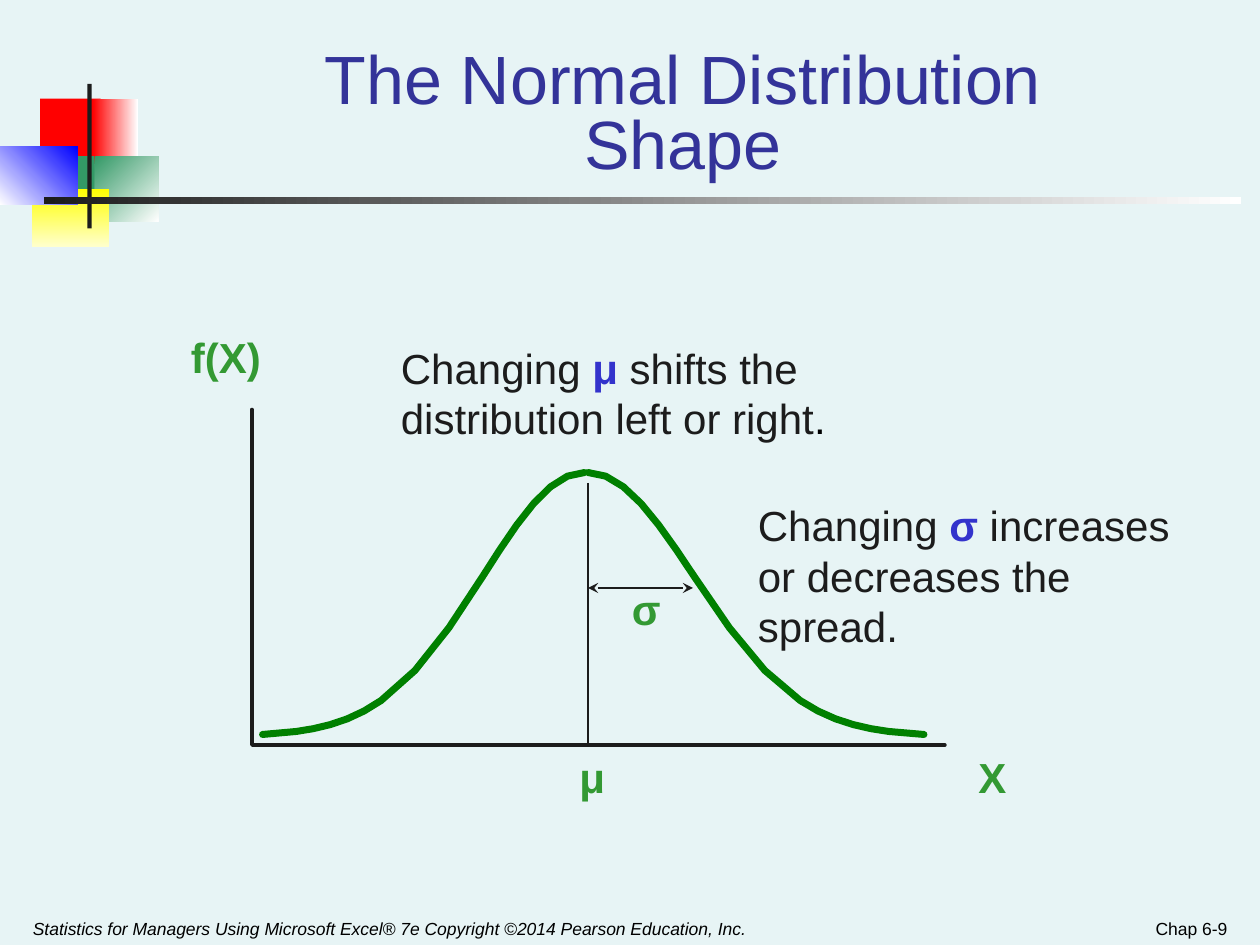
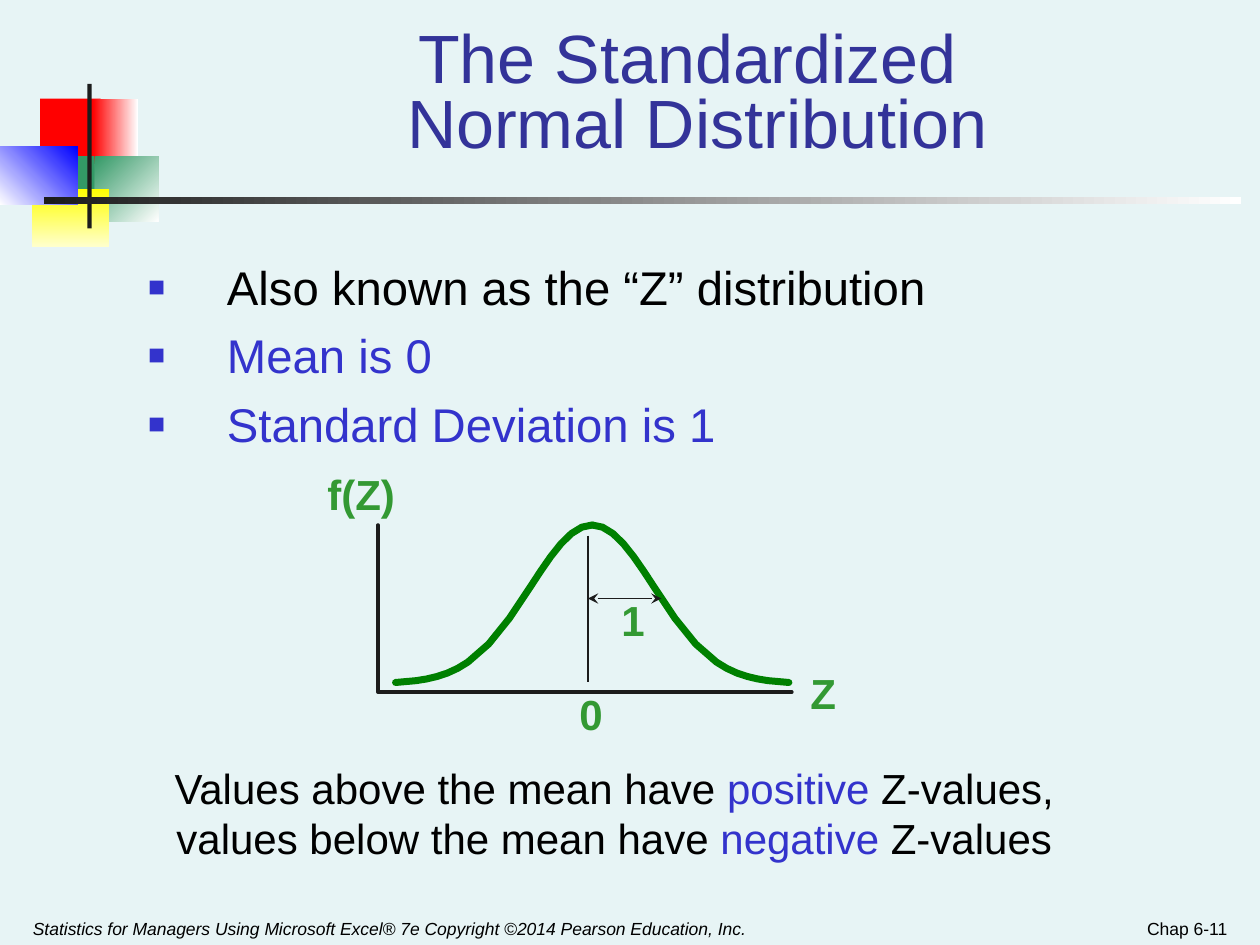
import math

import pptx
import pptx.dml.color
import pptx.enum.shapes
import pptx.enum.text
import pptx.oxml
import pptx.oxml.ns
import pptx.util

Pt = pptx.util.Pt
ALIGN = pptx.enum.text.PP_ALIGN
ANCHOR = pptx.enum.text.MSO_ANCHOR

FONT = "Arial"
BACKGROUND, TITLE, BLACK, INK = "E7F4F5", "333399", "000000", "1C1C1C"
ACCENT, LABEL, CURVE, DOT = "3333CC", "339933", "008000", "CDCDCD"
TITLE_ONLY = 5
DOT_COUNT, DOT_STEP_X, DOT_STEP_Y = 10, 23.63, 9.55
FOOTER = "Statistics for Managers Using Microsoft Excel® 7e Copyright ©2014 Pearson Education, Inc."

# Left, top, width, height, then colour or (from colour, to colour, clockwise angle)
BAND = [
    (23, 56.4, 34.5, 37.3, "FF0000"),
    (53, 56.4, 25.8, 37.3, ("FF0000", "FFFFFF", 0)),
    (54, 89.3, 36.7, 37.3, ("339966", "FFFFFF", 45)),
    (31, 89.3, 23, 37.3, "339966"),
    (18.3, 108, 44, 33, ("FFFF00", "FFFFCC", 90)),
    (0, 83.7, 44.4, 33.2, ("FFFFFF", "0000FF", 315)),
    (49.9, 48, 2.5, 82.6, INK),
    (25.2, 112.6, 684, 4, (INK, "FFFFFF", 0)),
]

BULLETS = [
    [("Also known as the “Z” distribution", {})],
    [("Mean is 0", {"color": ACCENT})],
    [("Standard Deviation is 1", {"color": ACCENT})],
]

# Curve halves are (peak x, tail x); labels are (text, left, top, width, wrap)
SLIDES = [
    {
        "title": "The Normal Distribution Shape",
        "title_place": (126.2, 30, 528, 78),
        "number": "Chap 6-9",
        "axes": [(144, 234), (144, 425.75), (540, 425.75)],
        "dot_column": (228, 252.7),
        "dot_row": (253.2, 348.5),
        "halves": [(336, 528), (334, 150)],
        "curve_top": 270,
        "curve_base": 419.7,
        "mean_line": (336, 276, 336, 426),
        "spread_arrow": (336, 336, 396, 336),
        "labels": [
            ("X", 552, 426, 30, False),
            ("f(X)", 102, 186, 55, False),
            ("μ", 324, 426, 37.5, True),
            ("σ", 354, 330, 37.5, True),
        ],
        "notes": [
            ((222, 192, 258, 65), ALIGN.LEFT, [
                ("Changing ", {"color": INK}),
                ("μ", {"color": ACCENT, "bold": True}),
                (" shifts the distribution left or right", {"color": INK}),
                (".", {}),
            ]),
            ((426, 282, 270, 94), ALIGN.LEFT, [
                ("Changing ", {"color": INK}),
                ("σ", {"color": ACCENT, "bold": True}),
                (" increases or decreases the spread.", {"color": INK}),
            ]),
        ],
    },
    {
        "title": "The Standardized\n Normal Distribution",
        "title_place": (84, 36, 618, 60),
        "number": "Chap 6-11",
        "bullets": BULLETS,
        "axes": [(216, 300), (216, 395.5), (452.5, 395.5)],
        "dot_column": (220.3, 294.6),
        "dot_row": (245, 391),
        "halves": [(338.4, 450.8), (338.4, 226)],
        "curve_top": 300,
        "curve_base": 390,
        "mean_line": (336, 306, 336, 390),
        "spread_arrow": (336, 342, 378, 342),
        "labels": [
            ("Z", 456, 378, 29, False),
            ("f(Z)", 180, 264, 53, False),
            ("0", 324, 390, 37.5, True),
            ("1", 348, 336, 37.5, True),
        ],
        "notes": [
            ((66, 432, 570, 65), ALIGN.CENTER, [
                ("Values above the mean have ", {}),
                ("positive", {"color": ACCENT}),
                (" Z-values, values below the mean have ", {}),
                ("negative", {"color": ACCENT}),
                (" Z-values", {}),
            ]),
        ],
    },
]


def rgb(code):
    return pptx.dml.color.RGBColor.from_string(code)


def points(values):
    return [Pt(value) for value in values]


def add_xml(parent, tag, **attributes):
    child = pptx.oxml.parse_xml(f"<a:{tag} {pptx.oxml.ns.nsdecls('a')}/>")
    for name, value in attributes.items():
        child.set(name, value)
    parent.append(child)
    return child


def write(para, text, size=24, color=BLACK, bold=False, italic=False):
    for index, line in enumerate(text.split("\n")):
        if index:
            para.add_line_break()
        span = para.add_run()
        span.text = line
        font = span.font
        font.name, font.size = FONT, Pt(size)
        font.bold, font.italic = bold, italic
        font.color.rgb = rgb(color)


def add_text(slide, place, spans, align=ALIGN.LEFT, anchor=ANCHOR.TOP, wrap=True, **style):
    box = slide.shapes.add_textbox(*points(place))
    frame = box.text_frame
    frame.word_wrap = wrap
    frame.vertical_anchor = anchor
    if not wrap:
        frame.auto_size = pptx.enum.text.MSO_AUTO_SIZE.SHAPE_TO_FIT_TEXT
    para = frame.paragraphs[0]
    para.alignment = align
    for text, own_style in spans:
        write(para, text, **{**style, **own_style})


def add_bullets(slide, place, items):
    frame = slide.shapes.add_textbox(*points(place)).text_frame
    frame.word_wrap = True
    for index, spans in enumerate(items):
        para = frame.add_paragraph() if index else frame.paragraphs[0]
        properties = para._p.get_or_add_pPr()
        indent = Pt(45)
        properties.set("marL", str(indent))
        properties.set("indent", str(-indent))
        if index:
            para.space_before = Pt(6.8)
        add_xml(add_xml(properties, "buClr"), "srgbClr", val=ACCENT)
        add_xml(properties, "buSzPct", val="60000")
        add_xml(properties, "buFont", typeface=FONT)
        add_xml(properties, "buChar", char="■")
        for text, style in spans:
            write(para, text, size=27, **style)


def add_path(slide, corners, color, width):
    """Draw an open, unfilled line through the corners."""
    start, *rest = [points(corner) for corner in corners]
    builder = slide.shapes.build_freeform(*start)
    builder.add_line_segments(rest, close=False)
    path = builder.convert_to_shape()
    path.shadow.inherit = False
    path.fill.background()
    path.line.color.rgb = rgb(color)
    path.line.width = Pt(width)
    outline = path.line._get_or_add_ln()
    outline.set("cap", "rnd")
    add_xml(outline, "round")


def add_line(slide, ends, color=INK, arrows=False):
    straight = pptx.enum.shapes.MSO_CONNECTOR.STRAIGHT
    line = slide.shapes.add_connector(straight, *points(ends))
    line.line.color.rgb = rgb(color)
    line.line.width = Pt(1)
    if arrows:
        outline = line.line._get_or_add_ln()
        for end in ("headEnd", "tailEnd"):
            add_xml(outline, end, type="stealth")
    add_xml(line._element.spPr, "effectLst")


def add_dots(slide, start, step_x=0, step_y=0):
    """Draw a faint dotted guide as equally spaced points."""
    for index in range(DOT_COUNT):
        dot = (start[0] + index * step_x, start[1] + index * step_y)
        add_line(slide, dot + dot, color=DOT)


def bell_half(peak_x, tail_x, top, base):
    """Return normal-density points from tail to peak, the tail resting on the base."""
    steps, sigma = 19, 6
    floor = math.exp(-((steps / sigma) ** 2) / 2)
    corners = []
    for step in [0, *range(2, 8), 9, 11, *range(13, steps + 1)]:
        density = math.exp(-(((steps - step) / sigma) ** 2) / 2)
        height = (density - floor) / (1 - floor)
        x = tail_x + (peak_x - tail_x) * step / steps
        corners.append((x, base - (base - top) * height))
    return corners


def add_band(slide, layout):
    """Draw the corner blocks and rule, then hand them to the shared layout."""
    band = slide.shapes.add_group_shape()
    for *place, paint in BAND:
        block = band.shapes.add_shape(pptx.enum.shapes.MSO_SHAPE.RECTANGLE, *points(place))
        block.shadow.inherit = False
        block.line.fill.background()
        if isinstance(paint, str):
            block.fill.solid()
            block.fill.fore_color.rgb = rgb(paint)
            continue
        *colors, angle = paint
        block.fill.gradient()
        block.fill.gradient_angle = -angle % 360
        for stop, color in zip(block.fill.gradient_stops, colors):
            stop.color.rgb = rgb(color)
    layout.shapes._spTree.insert(2, band._element)


def set_title(slide, text, place):
    title = slide.shapes.title
    title.left, title.top, title.width, title.height = points(place)
    frame = title.text_frame
    frame.word_wrap = True
    frame.auto_size = pptx.enum.text.MSO_AUTO_SIZE.NONE
    frame.vertical_anchor = ANCHOR.BOTTOM
    para = frame.paragraphs[0]
    para.alignment = ALIGN.CENTER
    para.line_spacing = 0.8
    write(para, text, size=39, color=TITLE)


def add_footer(slide, number):
    add_text(slide, (11.7, 515, 444, 25), [(FOOTER, {"italic": True})],
             anchor=ANCHOR.BOTTOM, size=10)
    add_text(slide, (540.3, 515, 168, 25), [(number, {})],
             align=ALIGN.RIGHT, anchor=ANCHOR.BOTTOM, size=10)


def add_distribution(slide, content):
    add_path(slide, content["axes"], INK, 2)
    add_dots(slide, content["dot_column"], step_y=DOT_STEP_Y)
    add_dots(slide, content["dot_row"], step_x=DOT_STEP_X)
    for peak_x, tail_x in content["halves"]:
        half = bell_half(peak_x, tail_x, content["curve_top"], content["curve_base"])
        add_path(slide, half, CURVE, 4)
    add_line(slide, content["mean_line"])
    add_line(slide, content["spread_arrow"], arrows=True)
    for text, left, top, width, wrap in content["labels"]:
        add_text(slide, (left, top, width, 36), [(text, {})],
                 wrap=wrap, color=LABEL, bold=True)


def main():
    deck = pptx.Presentation()
    deck.slide_width, deck.slide_height = Pt(720), Pt(540)
    background = deck.slide_master.background.fill
    background.solid()
    background.fore_color.rgb = rgb(BACKGROUND)
    layout = deck.slide_layouts[TITLE_ONLY]
    for index, content in enumerate(SLIDES):
        slide = deck.slides.add_slide(layout)
        if index == 0:
            add_band(slide, layout)
        set_title(slide, content["title"], content["title_place"])
        add_footer(slide, content["number"])
        if "bullets" in content:
            add_bullets(slide, (77.6, 143.8, 564, 145), content["bullets"])
        add_distribution(slide, content)
        for place, align, spans in content["notes"]:
            add_text(slide, place, spans, align=align)
    deck.save("out.pptx")


if __name__ == "__main__":
    main()
